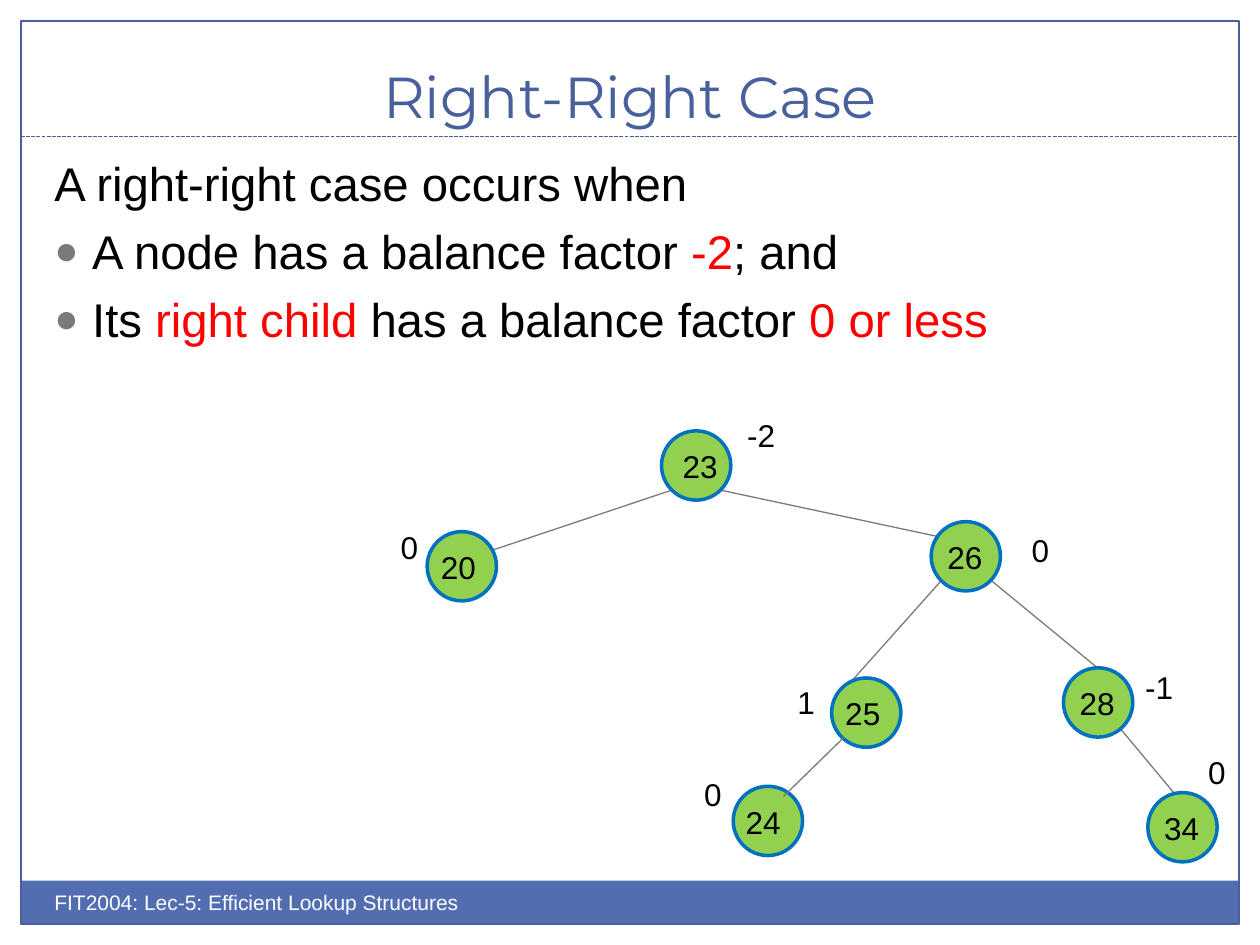
from lxml.etree import SubElement
from pptx import Presentation
from pptx.dml.color import RGBColor
from pptx.enum.dml import MSO_LINE
from pptx.enum.shapes import MSO_CONNECTOR, MSO_SHAPE
from pptx.enum.text import MSO_ANCHOR, PP_ALIGN
from pptx.oxml.ns import qn
from pptx.util import Pt

BLACK = RGBColor(0x00, 0x00, 0x00)
WHITE = RGBColor(0xFF, 0xFF, 0xFF)
RED = RGBColor(0xFF, 0x00, 0x00)
GRAY = RGBColor(0x7A, 0x7A, 0x7A)
GREEN = RGBColor(0x92, 0xD0, 0x50)
RING_BLUE = RGBColor(0x00, 0x70, 0xC0)
FRAME_BLUE = RGBColor(0x48, 0x60, 0x9B)
BAR_BLUE = RGBColor(0x52, 0x6D, 0xB0)

NODE_SIZE = 39.6
KEY_DROP = 5.8
LABEL_HEIGHT = 28.8

# key, left, top, indent of the key, balance factor, its left and top
NODES = [
    ("23", 378, 246.2, 5, "-2", 419.8, 234),
    ("20", 244.1, 303.8, 0.7, "0", 221.8, 298.1),
    ("28", 607.7, 381.6, 2.2, "-1", 647.3, 378),
    ("34", 655.9, 452.9, 2.2, "0", 683.3, 427),
    ("26", 532.1, 298.1, 2.2, "0", 582.5, 300.2),
    ("25", 475.2, 387.4, 0.7, "1", 448.6, 386.6),
    ("24", 419, 449.3, 0, "0", 395.3, 439.2),
]
EDGES_BEHIND = [
    (383.8, 280.1, 263.5, 320.4),
    (411.8, 280.1, 550.1, 309.6),
    (566.6, 331.9, 627.1, 381.6),
    (639.4, 415.4, 675.4, 458.6),
    (483.8, 392.4, 537.8, 331.9),
]
EDGE_IN_FRONT = (482.4, 421.2, 447.8, 455)

INTRO = [("A right-right case occurs when", BLACK)]
CONDITIONS = [
    [("A node has a balance factor ", BLACK), ("-2", RED), ("; and", BLACK)],
    [("Its ", BLACK), ("right child ", RED),
     ("has a balance factor ", BLACK), ("0 or less", RED)],
]


def add_shape(slide, kind, box, fill=None, line=None, width=0.75):
    shape = slide.shapes.add_shape(kind, *map(Pt, box))
    shape.shadow.inherit = False
    if fill is None:
        shape.fill.background()
    else:
        shape.fill.solid()
        shape.fill.fore_color.rgb = fill
    if line is None:
        shape.line.fill.background()
    else:
        shape.line.color.rgb = line
        shape.line.width = Pt(width)


def add_line(slide, ends, color, dash=None):
    line = slide.shapes.add_connector(MSO_CONNECTOR.STRAIGHT, *map(Pt, ends))
    line.line.color.rgb = color
    line.line.width = Pt(0.75)
    line.line.dash_style = dash
    SubElement(line._element.spPr, qn("a:effectLst"))


def add_frame(slide, box, wrap=True, **settings):
    frame = slide.shapes.add_textbox(*map(Pt, box)).text_frame
    for name, value in {"word_wrap": wrap, **settings}.items():
        setattr(frame, name, value)
    return frame


def add_runs(paragraph, runs, size, font="Arial"):
    for text, color in runs:
        run = paragraph.add_run()
        run.text = text
        for name, value in {"name": font, "size": Pt(size)}.items():
            setattr(run.font, name, value)
        run.font.color.rgb = color


def add_bullet(paragraph):
    properties = paragraph._p.get_or_add_pPr()
    properties.set("marL", str(Pt(21.6)))
    properties.set("indent", str(-Pt(21.6)))
    color = SubElement(properties, qn("a:buClr"))
    SubElement(color, qn("a:srgbClr"), val=str(GRAY))
    SubElement(properties, qn("a:buSzPct"), val="85000")
    SubElement(properties, qn("a:buFont"), typeface="Arial")
    SubElement(properties, qn("a:buChar"), char="●")


def add_tree_label(slide, text, left, top):
    width = {1: 24.5, 2: 34.6}[len(text)]
    frame = add_frame(slide, (left, top, width, LABEL_HEIGHT), wrap=False)
    add_runs(frame.paragraphs[0], [(text, BLACK)], 18)


def add_node(slide, key, left, top, indent, balance, balance_left, balance_top):
    add_shape(slide, MSO_SHAPE.OVAL, (left, top, NODE_SIZE, NODE_SIZE),
              GREEN, RING_BLUE, 2)
    add_tree_label(slide, key, left + indent, top + KEY_DROP)
    add_tree_label(slide, balance, balance_left, balance_top)


def add_page_furniture(slide):
    add_shape(slide, MSO_SHAPE.RECTANGLE, (12, 503.3, 696, 24.5), BAR_BLUE)
    add_shape(slide, MSO_SHAPE.RECTANGLE, (12, 12, 696, 516), line=FRAME_BLUE)
    add_line(slide, (12, 78, 708, 78), FRAME_BLUE, MSO_LINE.SQUARE_DOT)
    footer = add_frame(slide, (24, 504.7, 360, 28.8))
    add_runs(footer.paragraphs[0],
             [("FIT2004: Lec-5: Efficient Lookup Structures", WHITE)], 12)


def add_title(slide):
    title = add_frame(slide, (24, 18, 672, 60),
                      vertical_anchor=MSO_ANCHOR.BOTTOM).paragraphs[0]
    title.alignment = PP_ALIGN.CENTER
    add_runs(title, [("Right-Right Case", FRAME_BLUE)], 33, "Montserrat")


def add_definition(slide):
    body = add_frame(slide, (24, 81.4, 670, 360), margin_top=Pt(6.8))
    add_runs(body.paragraphs[0], INTRO, 27)
    for condition in CONDITIONS:
        paragraph = body.add_paragraph()
        paragraph.space_before = Pt(6.5)
        add_bullet(paragraph)
        add_runs(paragraph, condition, 27)


def add_tree(slide):
    for edge in EDGES_BEHIND:
        add_line(slide, edge, GRAY)
    for node in NODES:
        add_node(slide, *node)
    add_line(slide, EDGE_IN_FRONT, GRAY)


def main():
    deck = Presentation()
    deck.slide_width, deck.slide_height = Pt(720), Pt(540)
    slide = deck.slides.add_slide(deck.slide_layouts[6])
    add_page_furniture(slide)
    add_title(slide)
    add_definition(slide)
    add_tree(slide)
    deck.save("out.pptx")


if __name__ == "__main__":
    main()
